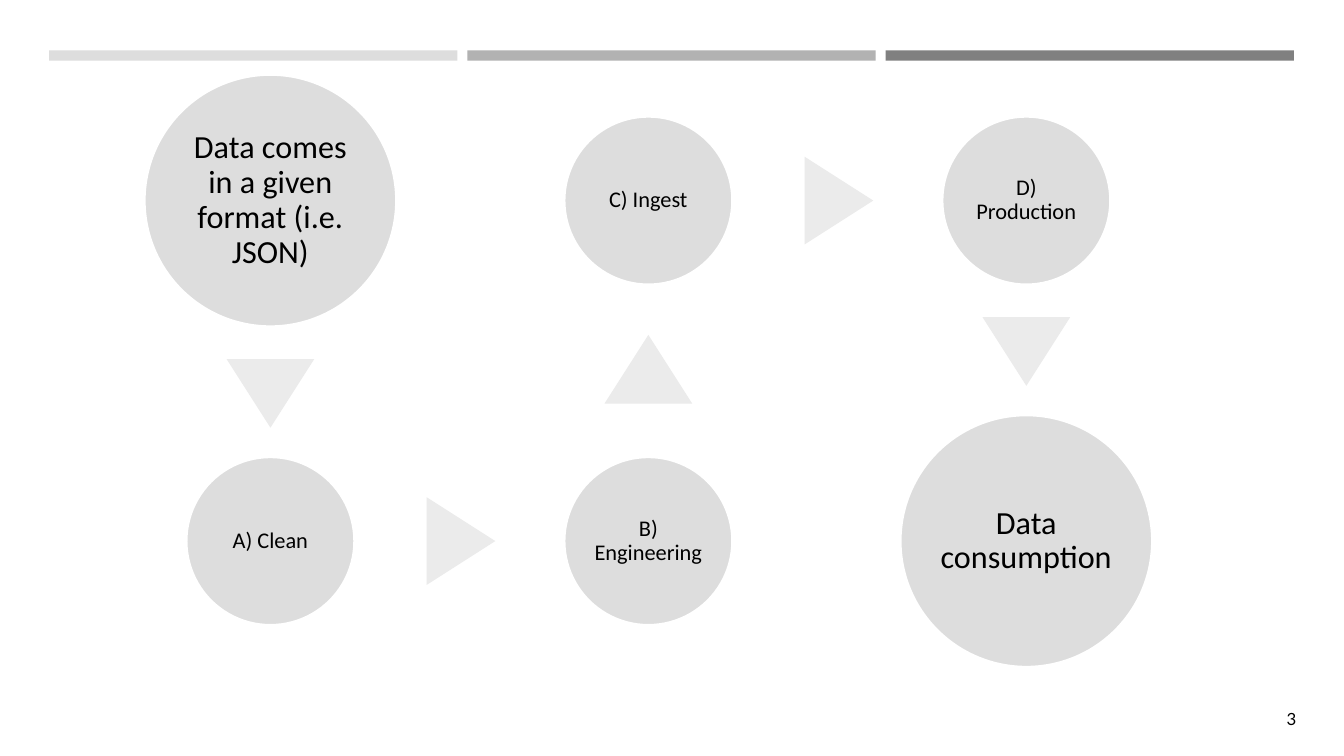
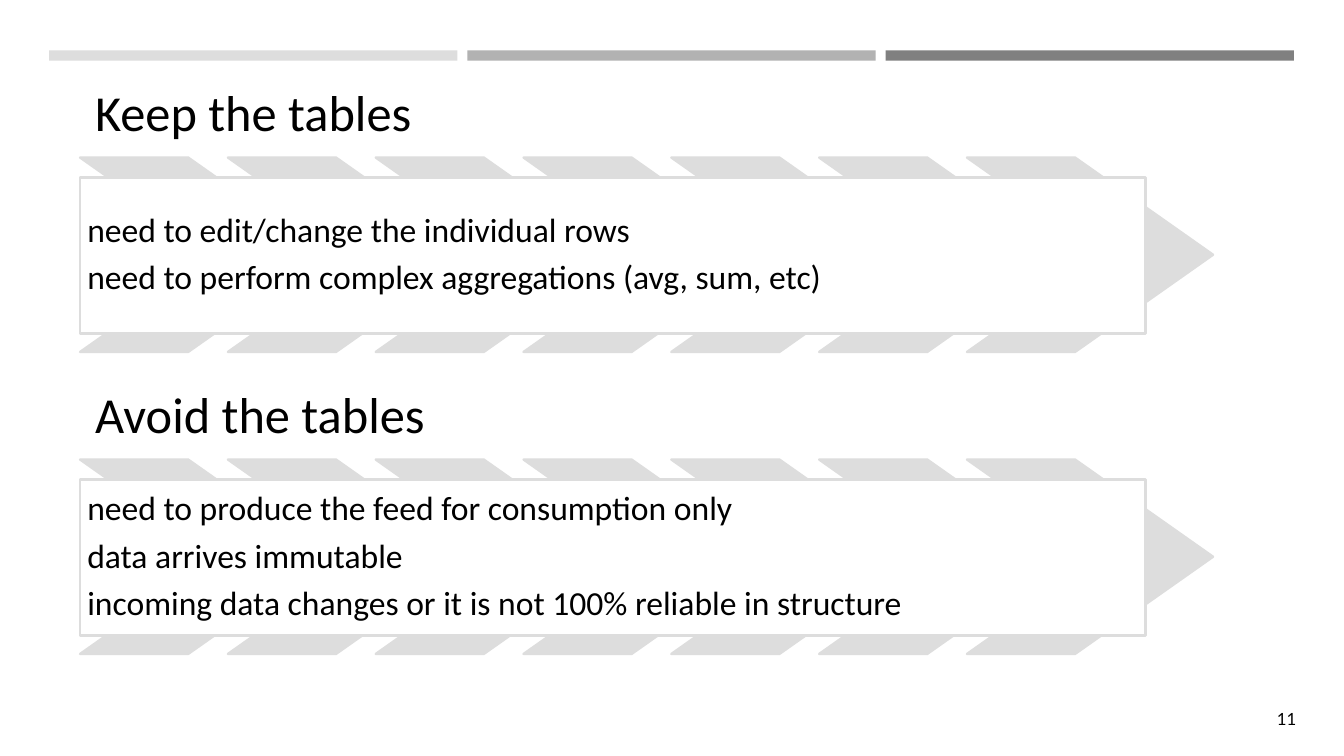
from dataclasses import dataclass
from itertools import pairwise

from pptx import Presentation
from pptx.dml.color import RGBColor
from pptx.enum.shapes import MSO_SHAPE as Preset
from pptx.enum.text import MSO_ANCHOR as Anchor, PP_ALIGN as Align
from pptx.util import Cm, Pt

BLACK, WHITE = "000000", "FFFFFF"
LIGHT, MEDIUM, DARK, PALE = "DDDDDD", "B2B2B2", "808080", "EBEBEB"
BODY_FONT, NUMBER_FONT = "Calibri", "Lato"
LINE_WIDTH = 1.75


@dataclass
class Box:
    """A rectangle measured in centimetres."""
    left: float
    top: float
    width: float
    height: float

    def lengths(self):
        """Return the four sides as slide lengths."""
        return [Cm(side) for side in (self.left, self.top, self.width, self.height)]


def centred(x, y, width, height):
    """Return a box around a centre point."""
    return Box(x - width / 2, y - height / 2, width, height)


def colour(value):
    """Turn a hex string into a colour."""
    return RGBColor.from_string(value)


def add_figure(page, preset, box, fill, line=None):
    """Add a flat preset shape with an optional outline."""
    figure = page.shapes.add_shape(preset, *box.lengths())
    figure.shadow.inherit = False
    figure.fill.solid()
    figure.fill.fore_color.rgb = colour(fill)
    if line:
        figure.line.color.rgb = colour(line)
        figure.line.width = Pt(LINE_WIDTH)
    else:
        figure.line.fill.background()
    return figure


def write(shape, text, size, inset, align=Align.LEFT, anchor=Anchor.MIDDLE, font=BODY_FONT):
    """Fill a shape with evenly formatted paragraphs."""
    frame = shape.text_frame
    frame.text = text
    frame.word_wrap = True
    frame.vertical_anchor = anchor
    frame.margin_left = frame.margin_right = Cm(inset)
    frame.margin_top = frame.margin_bottom = Cm(inset)
    for para in frame.paragraphs:
        para.alignment = align
        para.line_spacing = 0.9
        para.space_after = Pt(size / 3)
        for span in para.runs:
            span.font.name = font
            span.font.size = Pt(size)
            span.font.color.rgb = colour(BLACK)


def add_page(deck, number):
    """Add a blank page with the three top bands and its number."""
    page = deck.slides.add_slide(deck.slide_layouts[6])
    for column, fill in enumerate((LIGHT, MEDIUM, DARK)):
        add_figure(page, Preset.RECTANGLE, Box(1.24 + column * 10.54, 1.27, 10.29, 0.26), fill)
    label = page.shapes.add_textbox(*Box(31.37, 17.63, 1.55, 1.02).lengths())
    write(label, str(number), 12, 0.25, Align.RIGHT, font=NUMBER_FONT)
    return page


def add_flow(page, box, steps):
    """Draw circles on a grid of three columns and two rows, joined by triangles."""
    big, small = 6.35, 4.24
    column_gap = (box.width - big) / 2
    row_gap = box.height - big
    places = []
    for text, column, row, is_end in steps:
        diameter = big if is_end else small
        x = box.left + big / 2 + column * column_gap
        y = box.top + big / 2 + row * row_gap
        circle = add_figure(page, Preset.OVAL, centred(x, y, diameter, diameter), LIGHT, WHITE)
        write(circle, text, 23 if is_end else 16, 0.08 if is_end else 0.05, Align.CENTER)
        places.append((x, y, diameter / 2, column, row))
    for start, end in pairwise(places):
        add_pointer(page, start, end)


def add_pointer(page, start, end):
    """Put a triangle in the gap between two circles, pointing at the second."""
    x, y, radius, column, row = start
    next_x, next_y, next_radius, next_column, next_row = end
    across, down = next_column - column, next_row - row
    shift = (radius - next_radius) / 2 + 0.04
    middle_x = (x + next_x) / 2 + across * shift
    middle_y = (y + next_y) / 2 + down * shift
    pointer = add_figure(page, Preset.ISOSCELES_TRIANGLE, centred(middle_x, middle_y, 2.21, 1.73), PALE)
    pointer.rotation = 90 if across else 90 + 90 * down


def add_advice(page, box, title, points):
    """Draw a heading above a panel that lies on a row of chevrons."""
    title_height, chevron_width, chevron_height = 2.41, 6.2, 4.9
    chevron_top = box.top + title_height
    pitch = (box.width - chevron_width) / 6
    heading = page.shapes.add_textbox(*Box(box.left, box.top, 26.5, title_height).lengths())
    write(heading, title, 36, 0.38, anchor=Anchor.BOTTOM)
    for place in range(7):
        chevron_box = Box(box.left + place * pitch, chevron_top, chevron_width, chevron_height)
        chevron = add_figure(page, Preset.CHEVRON, chevron_box, LIGHT, LIGHT)
        chevron.adjustments[0] = 0.71
    panel_box = Box(box.left, chevron_top + 0.5, 26.85, 3.93)
    panel = add_figure(page, Preset.RECTANGLE, panel_box, WHITE, LIGHT)
    write(panel, "\n".join(points), 24, 0.18)


def build_pipeline(deck):
    """Build the page with the data pipeline."""
    add_flow(add_page(deck, 3), Box(3.64, 1.88, 25.4, 14.93), [
        ("Data comes in a given format (i.e. JSON)", 0, 0, True),
        ("A) Clean", 0, 1, False),
        ("B) Engineering", 1, 1, False),
        ("C) Ingest", 1, 0, False),
        ("D) Production", 2, 0, False),
        ("Data consumption", 2, 1, True),
    ])


def build_tables(deck):
    """Build the page on when to keep or avoid tables."""
    page = add_page(deck, 11)
    advice = [
        ("Keep the tables", [
            "need to edit/change the individual rows",
            "need to perform complex aggregations (avg, sum, etc)",
        ]),
        ("Avoid the tables", [
            "need to produce the feed for consumption only",
            "data arrives immutable",
            "incoming data changes or it is not 100% reliable in structure",
        ]),
    ]
    for row, (title, points) in enumerate(advice):
        add_advice(page, Box(2.02, 1.56 + row * 7.61, 28.55, 7.31), title, points)


def main():
    """Build and save the deck."""
    deck = Presentation()
    deck.slide_width, deck.slide_height = Cm(33.87), Cm(19.05)
    build_pipeline(deck)
    build_tables(deck)
    deck.save("out.pptx")


main()
